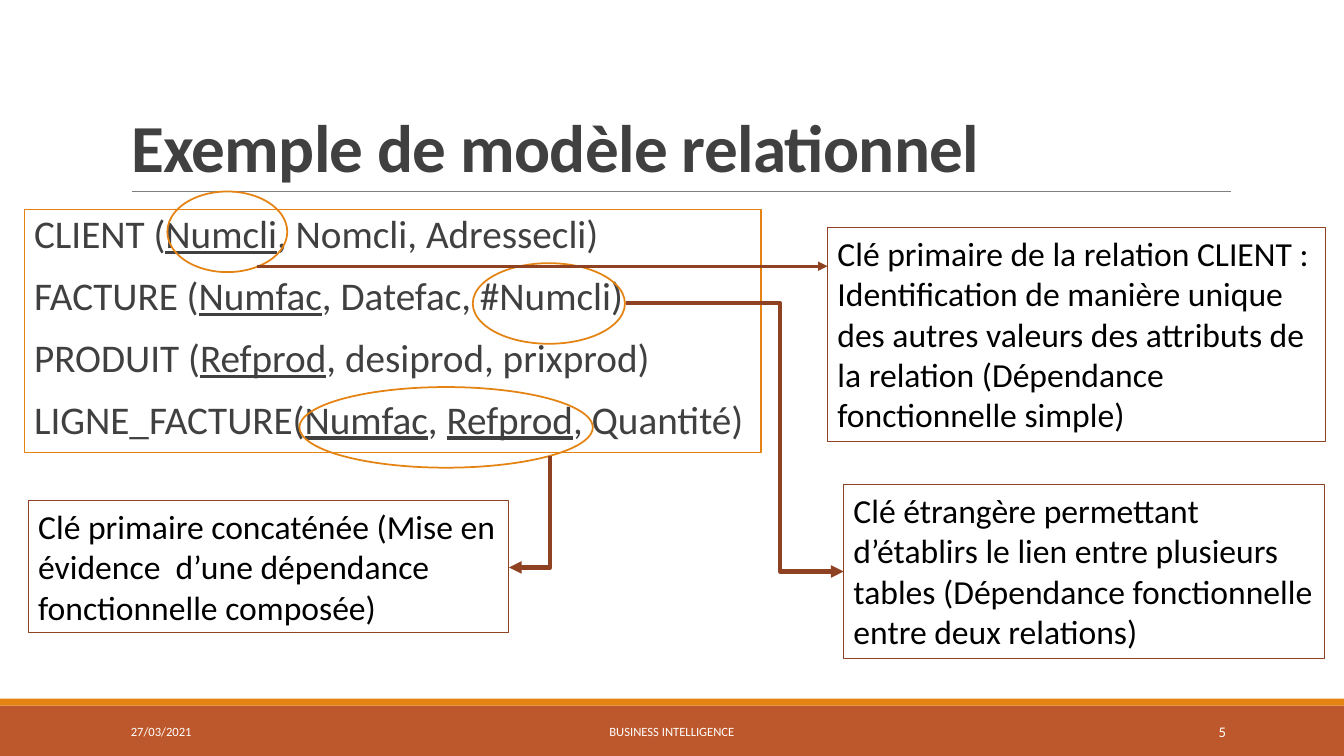
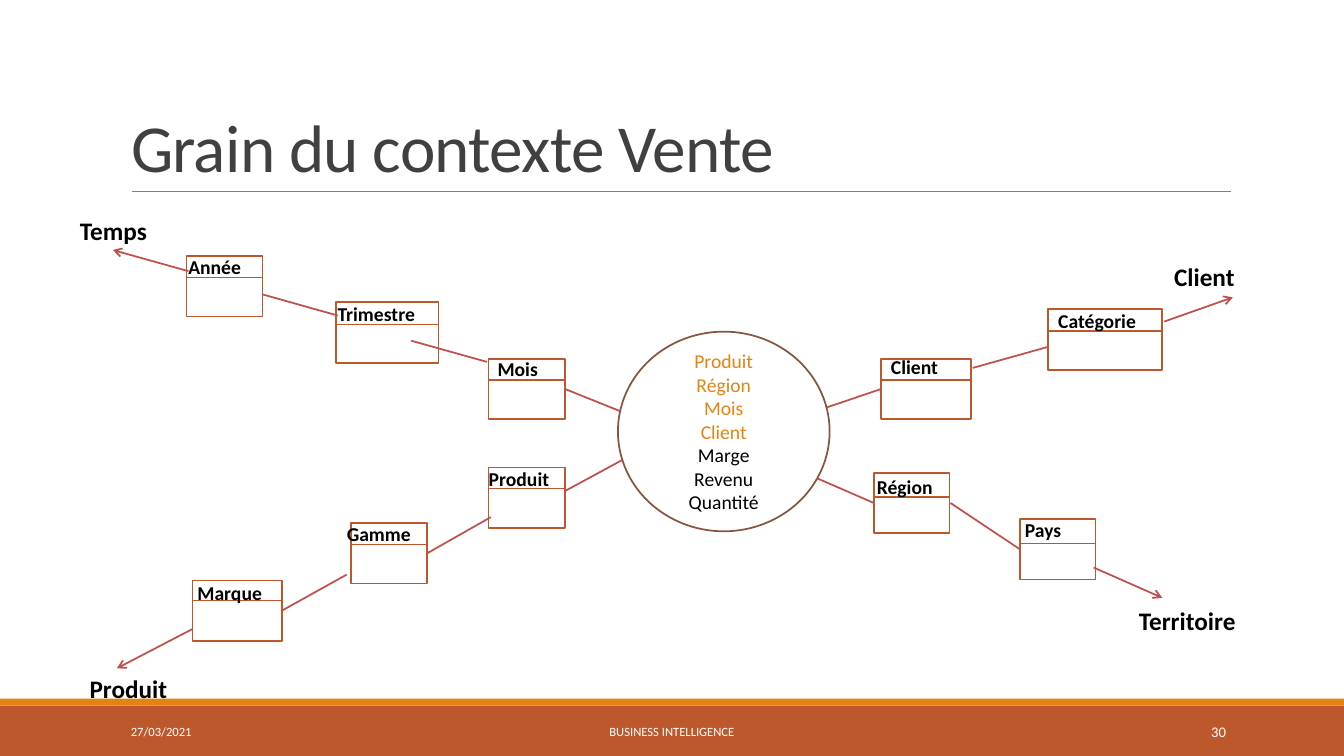
from lxml import etree
from pptx import Presentation
from pptx.dml.color import RGBColor
from pptx.enum.shapes import MSO_CONNECTOR, MSO_SHAPE
from pptx.enum.text import MSO_ANCHOR, MSO_AUTO_SIZE, PP_ALIGN
from pptx.oxml.ns import qn
from pptx.util import Pt

RECT, OVAL = MSO_SHAPE.RECTANGLE, MSO_SHAPE.OVAL
LINE, BENT = MSO_CONNECTOR.STRAIGHT, MSO_CONNECTOR.ELBOW
TOP, MIDDLE, BOTTOM = MSO_ANCHOR.TOP, MSO_ANCHOR.MIDDLE, MSO_ANCHOR.BOTTOM
LEFT, CENTER, RIGHT = PP_ALIGN.LEFT, PP_ALIGN.CENTER, PP_ALIGN.RIGHT

WIDTH, HEIGHT = 960, 540
FONT = "Calibri"
ORANGE, RUST, BROWN, RED = "E48312", "BD582C", "8E4221", "C0504D"
UMBER, DARK, GREY, BLACK, WHITE = "865640", "404040", "808080", "000000", "FFFFFF"
ON_LEFT, ON_RIGHT = 1, 3

ROWS = [
    "CLIENT (|Numcli|, Nomcli, Adressecli)",
    "FACTURE (|Numfac|, Datefac, #Numcli)",
    "PRODUIT (|Refprod|, desiprod, prixprod)",
    "LIGNE_FACTURE(|Numfac|, |Refprod|, Quantité)",
]
# left, top, width of the rings around the keys, within the schema box
RINGS = [(102.2, -13, 85.7), (320.4, 38.2, 108.7), (196.6, 126.7, 209.5)]
NOTES = [
    ("Clé primaire de la relation CLIENT : Identification de manière unique des "
     "autres valeurs des attributs de la relation (Dépendance fonctionnelle simple)",
     (591.1, 162.7, 355.7, 152.6), BROWN),
    ("Clé étrangère permettant d’établirs le lien entre plusieurs tables "
     "(Dépendance fonctionnelle entre deux relations)",
     (602.6, 346.3, 343.4, 123.8), BROWN),
    ("Clé primaire concaténée (Mise en évidence  d’une dépendance "
     "fonctionnelle composée)", (20.2, 357.8, 343.4, 94.3), BROWN),
]

# Positions below are within the diagram box.
# name, left, top, width, header height, label shift across and down
CARDS = [
    ("Mois", 299, 106.3, 54.7, 15.1, -0.7, -5),
    ("Produit", 299, 184, 54.7, 15.1, -7, -4.3),
    ("Client", 579.3, 106.3, 64.5, 15.1, 0, -6.5),
    ("Région", 574.2, 187.7, 54, 17.3, -5, -2.2),
    ("Année", 83.2, 32.9, 54.4, 15.5, -5.8, -4.3),
    ("Pays", 678.6, 220.8, 54, 17.3, -3.6, -4.3),
    ("Gamme", 200.6, 223.7, 54.4, 15.1, -10, -4.3),
    ("Marque", 87.5, 264.7, 63.7, 14.4, -3.6, -3.6),
    ("Catégorie", 698.8, 71, 81.4, 15.5, 0, -3.6),
    ("Trimestre", 189.8, 66, 73.4, 15.8, -5.8, -3.6),
]
# card, side it leaves from, end point
JOINS = [
    ("Mois", ON_RIGHT, (395, 144.5)), ("Client", ON_LEFT, (530.3, 144.5)),
    ("Région", ON_LEFT, (524.6, 187.7)), ("Pays", ON_LEFT, (629, 209.3)),
    ("Gamme", ON_RIGHT, (300.6, 219.4)), ("Marque", ON_RIGHT, (197.7, 260.4)),
]
LINKS = [
    ((353.9, 200.6), (395, 178.3)), ((243.8, 93.4), (297.8, 108.5)),
    ((137.2, 60.2), (191.2, 75.4)), ((698.8, 97.7), (644.8, 112.8)),
]
# name, label corner, arrow start, arrow end
AXES = [
    ("Temps", (0, 0), (84.6, 43.7), (30.6, 28.6)),
    ("Produit", (6.9, 327.4), (87.5, 299.3), (33.5, 327.4)),
    ("Client", (781.6, 32.9), (781.6, 79.7), (830.6, 62.4)),
    ("Territoire", (756.4, 279), (731.2, 255.4), (780.2, 277)),
]
GRAIN = ["Produit", "Région", "Mois", "Client"]
FACTS = ["Marge", "Revenu", "Quantité"]


def rgb(code):
    return RGBColor.from_string(code)


def style(par, size, color, bold=False, align=LEFT):
    par.alignment = align
    for run in par.runs:
        font = run.font
        font.name, font.size, font.bold = FONT, Pt(size), bold
        font.color.rgb = rgb(color)


def shape(slide, kind, box, fill=None, line=None, weight=1.25):
    item = slide.shapes.add_shape(kind, *map(Pt, box))
    item.shadow.inherit = False
    if fill:
        item.fill.solid()
        item.fill.fore_color.rgb = rgb(fill)
    else:
        item.fill.background()
    if line:
        item.line.color.rgb = rgb(line)
        item.line.width = Pt(weight)
    else:
        item.line.fill.background()
    return item


def label(slide, text, box, size, color=BLACK, bold=False, align=LEFT,
          anchor=TOP, line=None):
    item = slide.shapes.add_textbox(*map(Pt, box))
    frame = item.text_frame
    frame.word_wrap = True
    frame.vertical_anchor = anchor
    frame.text = text
    style(frame.paragraphs[0], size, color, bold, align)
    if line:
        item.line.color.rgb = rgb(line)
        item.line.width = Pt(0.75)
    return item


def wire(slide, start, end, color, weight, tip=None, kind=LINE):
    item = slide.shapes.add_connector(kind, *map(Pt, start + end))
    item.line.color.rgb = rgb(color)
    item.line.width = Pt(weight)
    props = item._element.spPr
    if tip:
        etree.SubElement(props.find(qn("a:ln")), qn("a:tailEnd"), type=tip)
    etree.SubElement(props, qn("a:effectLst"))
    return item


def start(deck, title, number, bold=False):
    """Add a slide with its title, rule and footer."""
    slide = deck.slides.add_slide(deck.slide_layouts[5])
    shape(slide, RECT, (0, 504, WIDTH, 36), RUST)
    shape(slide, RECT, (0, 499, WIDTH, 5), ORANGE)
    wire(slide, (94.3, 136.8), (879.1, 136.8), GREY, 0.5)
    head = slide.shapes.title
    head.left, head.top, head.width, head.height = map(Pt, (86.4, 22.3, 792, 114.5))
    frame = head.text_frame
    frame.auto_size = MSO_AUTO_SIZE.NONE
    frame.vertical_anchor = BOTTOM
    frame.text = title
    par = frame.paragraphs[0]
    par.line_spacing = 0.85
    style(par, 48, DARK, bold)
    par.runs[0]._r.get_or_add_rPr().set("spc", "-50")
    for text, left, width, size, align in (
            ("27/03/2021", 86.4, 194.4, 9, LEFT),
            ("BUSINESS INTELLIGENCE", 290.2, 379.4, 9, CENTER),
            (str(number), 779.8, 103, 10.5, RIGHT)):
        label(slide, text, (left, 508.3, width, 28.8), size, WHITE,
              align=align, anchor=MIDDLE)
    return slide


def schema(slide, left, top, width, height):
    frame = shape(slide, RECT, (left, top, width, height), None, ORANGE, 0.75).text_frame
    frame.word_wrap = True
    frame.vertical_anchor = TOP
    frame.margin_left, frame.margin_right = Pt(7.2), 0
    for i, row in enumerate(ROWS):
        par = frame.add_paragraph() if i else frame.paragraphs[0]
        par.line_spacing = 0.9
        par.space_before, par.space_after = Pt(12), Pt(2)
        for k, part in enumerate(row.split("|")):
            run = par.add_run()
            run.text = part
            run.font.underline = k % 2 == 1
        style(par, 28, DARK)
    for x, y, w in RINGS:
        shape(slide, OVAL, (left + x, top + y, w, 57.6), None, ORANGE)


def arrows(slide):
    """Lead from the ringed keys to their notes."""
    wire(slide, (183.6, 190.1), (591.1, 190.1), BROWN, 2.25, "triangle")
    step = wire(slide, (447.1, 216.7), (602.6, 408.2), BROWN, 3, "triangle", BENT)
    geom = step._element.spPr.find(qn("a:prstGeom"))
    etree.SubElement(geom.find(qn("a:avLst")), qn("a:gd"), name="adj1", fmla="val 70900")
    # A single bend, turned a quarter: it runs down, then left.
    turn = wire(slide, (338.4, 350.6), (418.3, 380.1), BROWN, 3, "triangle", BENT)
    props = turn._element.spPr
    props.find(qn("a:prstGeom")).set("prst", "bentConnector2")
    props.find(qn("a:xfrm")).set("rot", "5400000")


def card(slide, name, left, top, width, head, dx, dy):
    item = shape(slide, RECT, (left, top, width, 43.2), WHITE, RUST)
    wire(slide, (left, top + head), (left + width, top + head), RUST, 1)
    label(slide, name, (left + dx, top + dy, 90, 20.9), 14, bold=True)
    return item


def core(slide, box):
    frame = shape(slide, OVAL, box, WHITE, UMBER).text_frame
    frame.vertical_anchor = MIDDLE
    names = GRAIN + FACTS
    frame.text = "\n".join(names)
    for name, par in zip(names, frame.paragraphs):
        style(par, 14, ORANGE if name in GRAIN else BLACK, align=CENTER)


def diagram(slide, left, top):
    def at(point):
        return left + point[0], top + point[1]

    cards = {}
    for name, x, y, *rest in CARDS:
        cards[name] = card(slide, name, *at((x, y)), *rest)
    for name, side, end in JOINS:
        link = wire(slide, at(end), at(end), RED, 1.25)
        link.begin_connect(cards[name], side)
    for begin, end in LINKS:
        wire(slide, at(begin), at(end), RED, 1.25)
    for name, corner, begin, end in AXES:
        wire(slide, at(begin), at(end), RED, 1.25, "arrow")
        label(slide, name, at(corner) + (110, 24.5), 18, bold=True)
    core(slide, at((391.4, 86.9)) + (151.2, 142.6))


def main():
    deck = Presentation()
    deck.slide_width, deck.slide_height = Pt(WIDTH), Pt(HEIGHT)
    model = start(deck, "Exemple de modèle relationnel", 5, True)
    schema(model, 17.3, 149.8, 526.3, 173.5)
    for text, box, color in NOTES:
        label(model, text, box, 24, line=color)
    arrows(model)
    sales = start(deck, "Grain du contexte Vente", 30)
    diagram(sales, 50, 150)
    deck.save("out.pptx")


if __name__ == "__main__":
    main()
